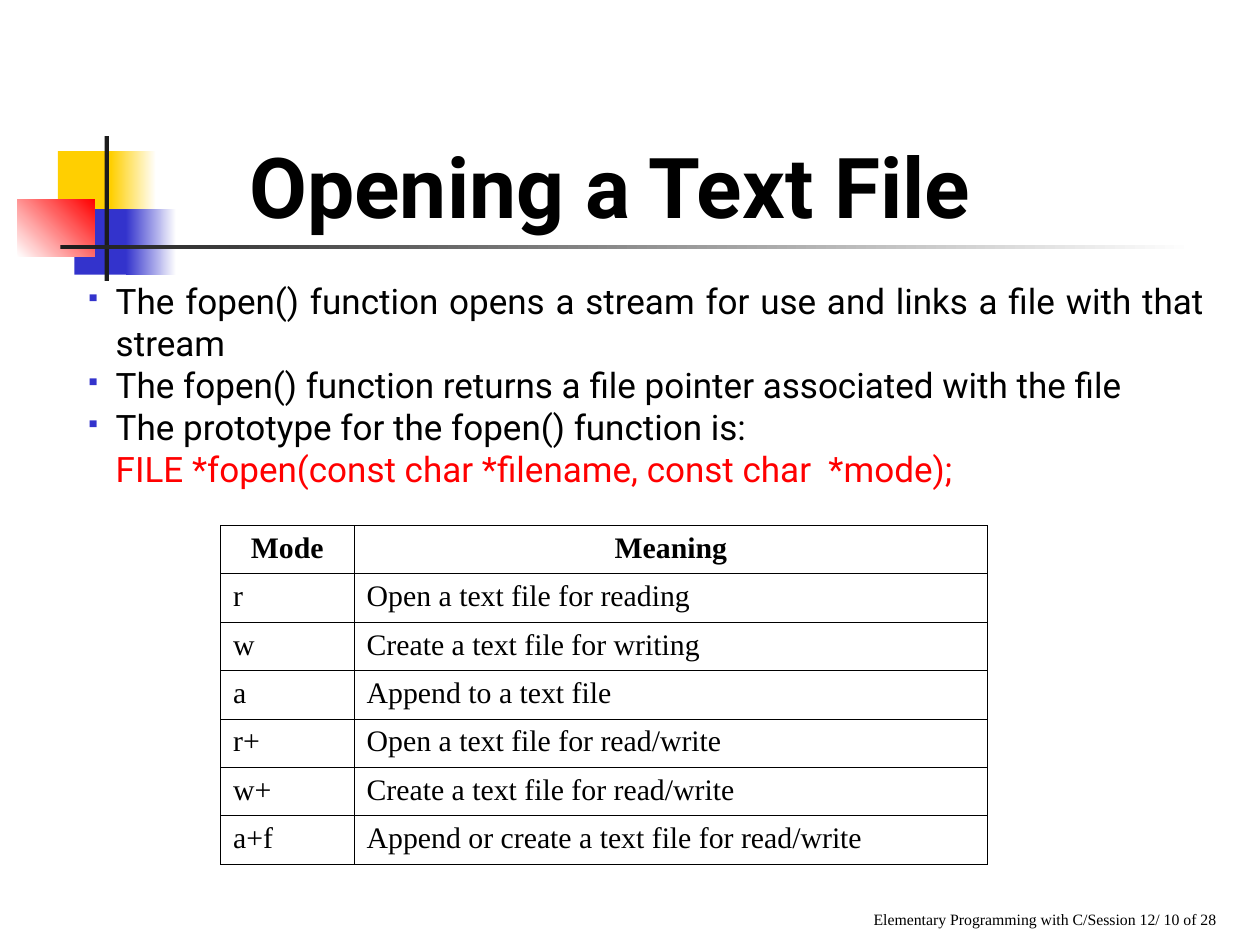
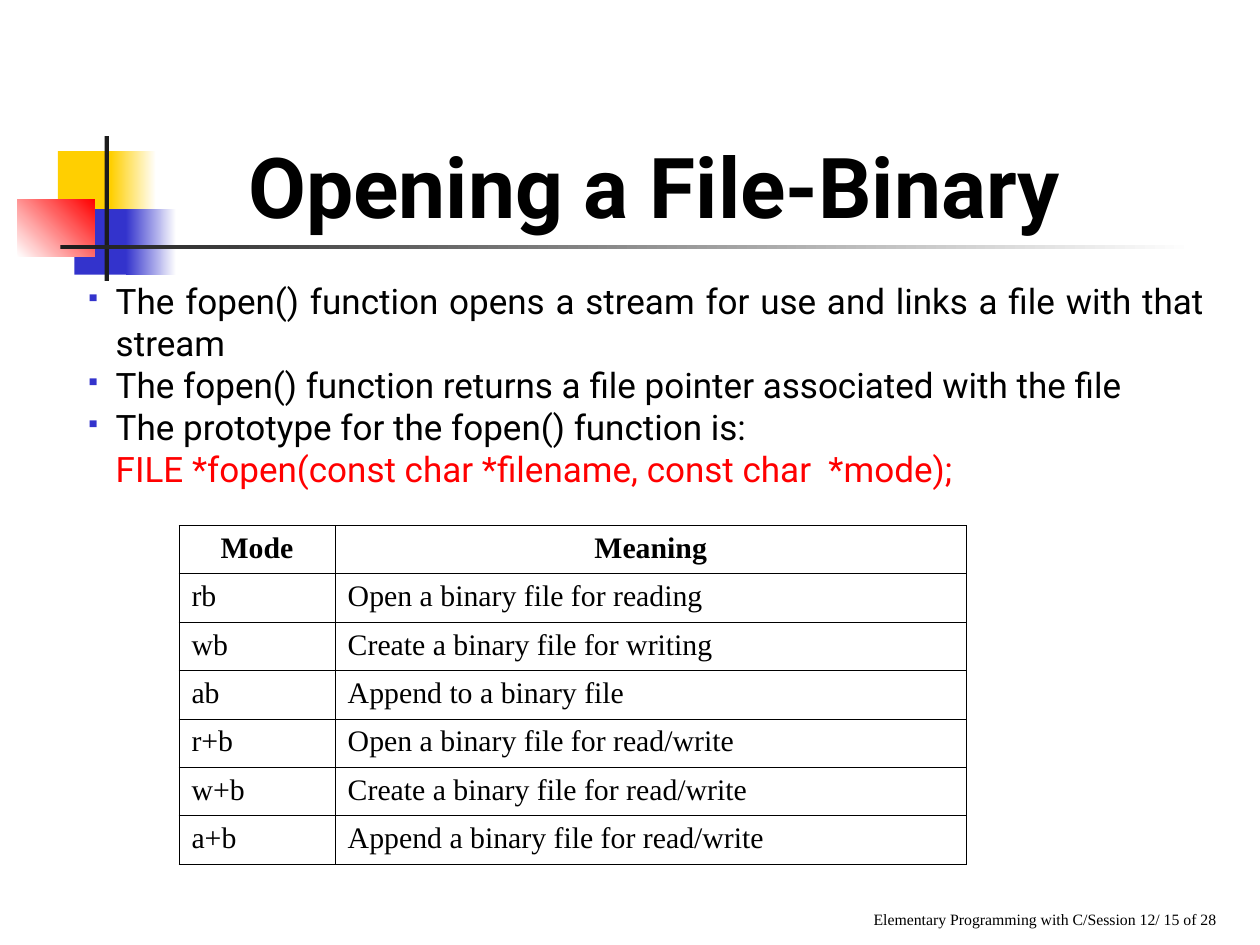
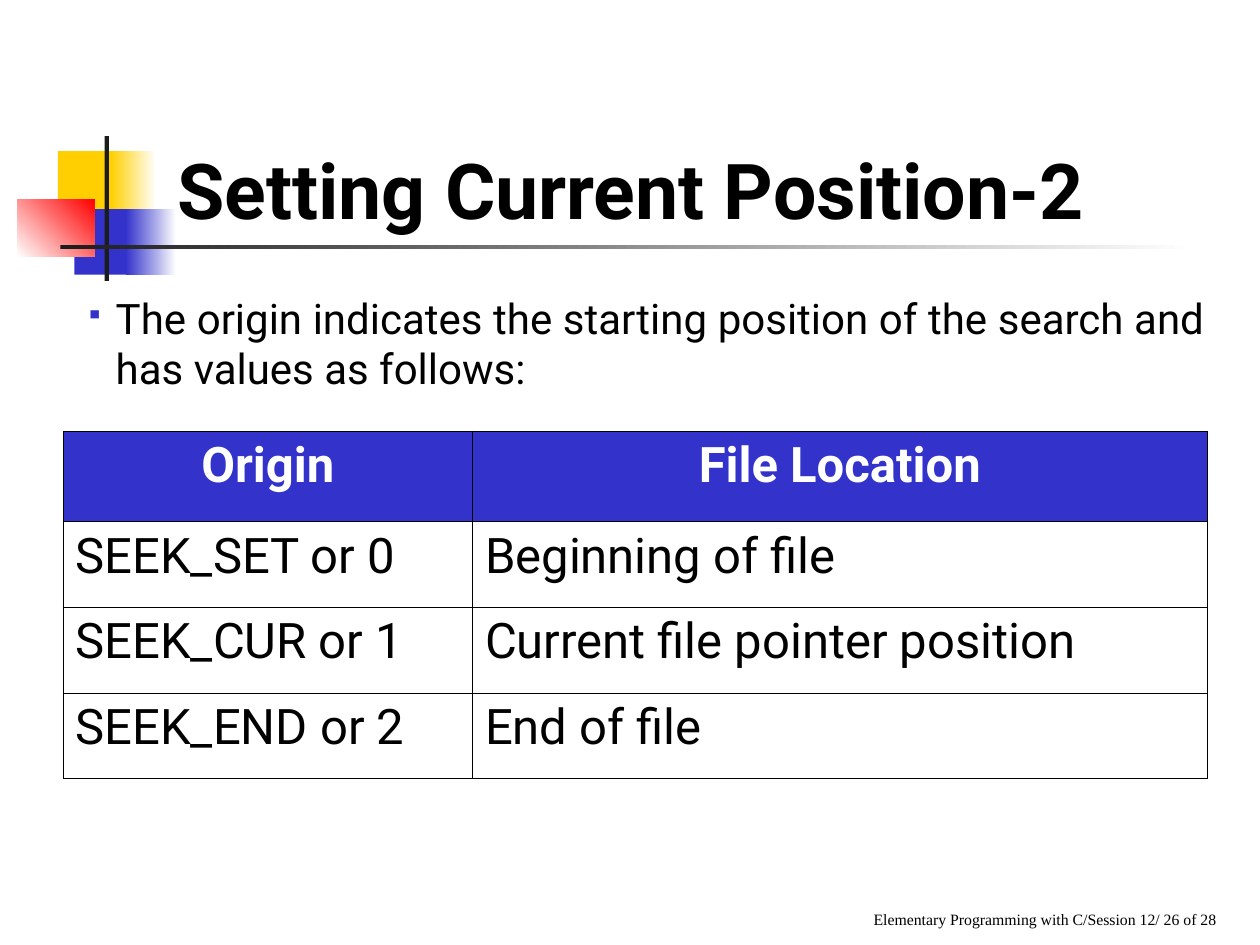
from lxml import etree
from pptx import Presentation
from pptx import util as u
from pptx.dml.color import RGBColor
from pptx.enum import shapes, text
from pptx.oxml.ns import qn

BLACK = RGBColor(0x00, 0x00, 0x00)
WHITE = RGBColor(0xFF, 0xFF, 0xFF)
RED = RGBColor(0xFF, 0x00, 0x00)
BLUE = RGBColor(0x33, 0x33, 0xCC)
YELLOW = RGBColor(0xFF, 0xCF, 0x01)
CHARCOAL = RGBColor(0x1C, 0x1C, 0x1C)

SANS = "Roboto"
SERIF = "Times New Roman"
COLUMNS, ROWS = 100, 75
TITLE_ONLY = 5
LEFT, CENTER = text.PP_ALIGN.LEFT, text.PP_ALIGN.CENTER
RIGHT, JUSTIFY = text.PP_ALIGN.RIGHT, text.PP_ALIGN.JUSTIFY

EMBLEM = [
    ((4.6, 12, 4.8, 5.2), [YELLOW], 0),
    ((8.8, 12, 3.6, 5.2), [YELLOW, WHITE], 0),
    ((5.9, 16.6, 4.6, 5.2), [BLUE], 0),
    ((10, 16.6, 4, 5.2), [BLUE, WHITE], 0),
    ((1.4, 15.8, 6.1, 4.6), [WHITE, RED], 45),
    ((8.3, 10.8, 0.35, 11.5), [CHARCOAL], 0),
    ((4.8, 19.45, 90, 0.35), [CHARCOAL, WHITE], 0),
]

FOPEN_POINTS = [
    "The fopen() function opens a stream for use and links a file with that stream",
    "The fopen() function returns a file pointer associated with the file",
    "The prototype for the fopen() function is:",
]
FOPEN_PROTOTYPE = "FILE *fopen(const char *filename, const char  *mode);"

TEXT_MODES = [
    ("Mode", "Meaning"),
    ("r", "Open a text file for reading"),
    ("w", "Create a text file for writing"),
    ("a", "Append to a text file"),
    ("r+", "Open a text file for read/write"),
    ("w+", "Create a text file for read/write"),
    ("a+f", "Append or create a text file for read/write"),
]
BINARY_MODES = [
    ("Mode", "Meaning"),
    ("rb", "Open a binary file for reading"),
    ("wb", "Create a binary file for writing"),
    ("ab", "Append to a binary file"),
    ("r+b", "Open a binary file for read/write"),
    ("w+b", "Create a binary file for read/write"),
    ("a+b", "Append a binary file for read/write"),
]
SEEK_ORIGINS = [
    ("Origin", "File Location"),
    ("SEEK_SET or 0", "Beginning of file"),
    ("SEEK_CUR or 1", "Current file pointer position"),
    ("SEEK_END or 2", "End of file"),
]


class Deck:
    def __init__(self):
        self.presentation = Presentation()
        self.presentation.slide_width = u.Inches(10)
        self.presentation.slide_height = u.Inches(7.5)
        self.column = self.presentation.slide_width / COLUMNS
        self.row = self.presentation.slide_height / ROWS
        self.slide = None

    def across(self, columns):
        return u.Emu(round(columns * self.column))

    def down(self, rows):
        return u.Emu(round(rows * self.row))

    def box(self, left, top, width, height):
        return self.across(left), self.down(top), self.across(width), self.down(height)

    def new_slide(self, page):
        layout = self.presentation.slide_layouts[TITLE_ONLY]
        self.slide = self.presentation.slides.add_slide(layout)
        for area, colors, angle in EMBLEM:
            self.block(area, colors, angle)
        self.footer(page)

    def block(self, area, colors, angle):
        shape = self.slide.shapes.add_shape(shapes.MSO_SHAPE.RECTANGLE, *self.box(*area))
        shape.shadow.inherit = False
        shape.line.fill.background()
        if len(colors) == 1:
            shape.fill.solid()
            shape.fill.fore_color.rgb = colors[0]
            return
        shape.fill.gradient()
        shape.fill.gradient_angle = angle
        for stop, color in zip(shape.fill.gradient_stops, colors):
            stop.color.rgb = color

    def add_words(self, paragraph, words, size, font=SANS, color=BLACK, bold=False, align=LEFT):
        paragraph.alignment = align
        run = paragraph.add_run()
        run.text = words
        run.font.size = u.Pt(size)
        run.font.name = font
        run.font.bold = bold
        run.font.color.rgb = color

    def text_box(self, area):
        shape = self.slide.shapes.add_textbox(*self.box(*area))
        shape.text_frame.word_wrap = True
        return shape.text_frame

    def footer(self, page):
        frame = self.text_box((36.7, 69.2, 60.8, 5))
        frame.vertical_anchor = text.MSO_ANCHOR.BOTTOM
        words = f"Elementary Programming with C/Session 12/ {page} of 28"
        self.add_words(frame.paragraphs[0], words, 9, SERIF, align=RIGHT)

    def title(self, words, area, size=48):
        shape = self.slide.shapes.title
        shape.left, shape.top, shape.width, shape.height = self.box(*area)
        frame = shape.text_frame
        frame.word_wrap = False
        frame.auto_size = text.MSO_AUTO_SIZE.SHAPE_TO_FIT_TEXT
        frame.vertical_anchor = text.MSO_ANCHOR.TOP
        self.add_words(frame.paragraphs[0], words, size, bold=True)

    def indent(self, paragraph, bulleted):
        properties = paragraph._p.get_or_add_pPr()
        hang = self.across(2.4)
        properties.set("marL", str(hang))
        properties.set("indent", str(-hang if bulleted else 0))
        if bulleted:
            color = etree.SubElement(properties, qn("a:buClr"))
            etree.SubElement(color, qn("a:srgbClr"), val=str(BLUE))
            etree.SubElement(properties, qn("a:buSzPct"), val="60000")
            etree.SubElement(properties, qn("a:buChar"), char="▪")

    def bullets(self, points, area, size, code=None):
        frame = self.text_box(area)
        lines = [(point, BLACK, True) for point in points]
        if code:
            lines.append((code, RED, False))
        for index, (words, color, bulleted) in enumerate(lines):
            paragraph = frame.add_paragraph() if index else frame.paragraphs[0]
            self.indent(paragraph, bulleted)
            self.add_words(paragraph, words, size, color=color, align=JUSTIFY)

    def borders(self, cell):
        properties = cell._tc.get_or_add_tcPr()
        for side in ("a:lnL", "a:lnR", "a:lnT", "a:lnB"):
            line = etree.SubElement(properties, qn(side), w=str(u.Pt(0.45)))
            fill = etree.SubElement(line, qn("a:solidFill"))
            etree.SubElement(fill, qn("a:srgbClr"), val=str(BLACK))

    def table(self, records, corner, widths, heights, size, font, align,
              header_fill=None, header_color=BLACK):
        area = (*corner, sum(widths), sum(heights))
        table = self.slide.shapes.add_table(
            len(records), len(widths), *self.box(*area)).table
        for column, width in zip(table.columns, widths):
            column.width = self.across(width)
        for row, height in zip(table.rows, heights):
            row.height = self.down(height)
        for row_index, record in enumerate(records):
            header = row_index == 0
            for column_index, words in enumerate(record):
                cell = table.cell(row_index, column_index)
                self.borders(cell)
                if header and header_fill is not None:
                    cell.fill.solid()
                    cell.fill.fore_color.rgb = header_fill
                else:
                    cell.fill.background()
                self.add_words(cell.text_frame.paragraphs[0], words, size, font,
                               header_color if header else BLACK, header,
                               CENTER if header else align)

    def fopen_slide(self, page, title, title_area, modes, table_left, widths):
        self.new_slide(page)
        self.title(title, title_area)
        self.bullets(FOPEN_POINTS, (5.8, 21.7, 90.8, 17.7), 20, FOPEN_PROTOTYPE)
        heights = [26.8 / len(modes)] * len(modes)
        self.table(modes, (table_left, 41.7), widths, heights, 17, SERIF, JUSTIFY)

    def seek_slide(self):
        self.new_slide(26)
        self.title("Setting Current Position-2", (13.1, 10.8, 81.3, 8.4), 44)
        self.bullets(
            ["The origin indicates the starting position of the search and has values as follows:"],
            (5.8, 22.7, 90.8, 9), 24)
        self.table(SEEK_ORIGINS, (5, 34.2), (32.5, 58.3), [7.2] + [6.8] * 3, 28, SANS, LEFT,
                   BLUE, WHITE)


def main():
    deck = Deck()
    deck.fopen_slide(10, "Opening a Text File", (18.8, 10.2, 67.6, 9),
                     TEXT_MODES, 17.5, (10.6, 50.3))
    deck.fopen_slide(15, "Opening a File-Binary", (18.7, 10.2, 73.5, 9),
                     BINARY_MODES, 14.2, (12.4, 50.1))
    deck.seek_slide()
    deck.presentation.save("out.pptx")


if __name__ == "__main__":
    main()
